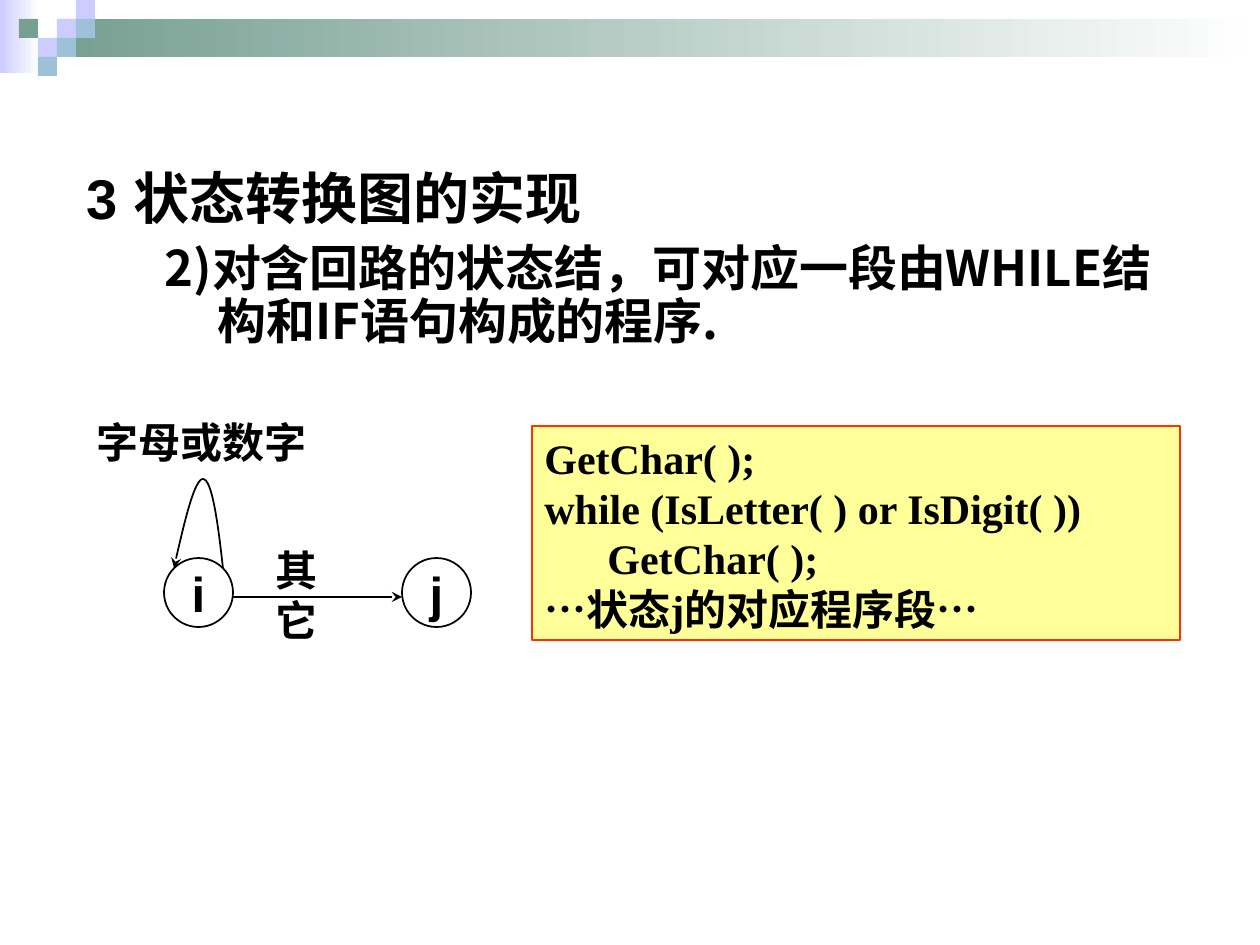
"""Build a slide on implementing state transition diagrams with loops."""
from dataclasses import dataclass

from pptx import Presentation
from pptx.dml.color import RGBColor
from pptx.enum.shapes import MSO_CONNECTOR, MSO_SHAPE
from pptx.enum.text import MSO_ANCHOR, PP_ALIGN
from pptx.oxml.ns import qn
from pptx.util import Emu, Pt
from lxml.etree import SubElement


@dataclass(frozen=True)
class Theme:
    black: RGBColor = RGBColor(0x00, 0x00, 0x00)
    white: RGBColor = RGBColor(0xFF, 0xFF, 0xFF)
    lilac: RGBColor = RGBColor(0xCC, 0xCC, 0xFF)
    green: RGBColor = RGBColor(0x77, 0x9F, 0x92)
    blue: RGBColor = RGBColor(0x9D, 0xC2, 0xD7)
    yellow: RGBColor = RGBColor(0xFF, 0xFF, 0x99)
    red: RGBColor = RGBColor(0xFF, 0x33, 0x00)
    heading: int = 32
    text: int = 28
    label: int = 24
    sans: str = "Arial"
    serif: str = "Times New Roman"
    chinese: str = "Noto Sans CJK SC"


theme = Theme()
SCALE = 914400 / 126


def px(*lengths):
    return [Emu(round(length * SCALE)) for length in lengths]


def style(span, size, font):
    span.font.size = Pt(size)
    span.font.bold = True
    span.font.color.rgb = theme.black
    span.font.name = font
    SubElement(span.font._element, qn("a:ea"), typeface=theme.chinese)


deck = Presentation()
deck.slide_width, deck.slide_height = px(1260, 945)
page = deck.slides.add_slide(deck.slide_layouts[1])
title = page.shapes.title
title._element.getparent().remove(title._element)

for bounds, color in (((0, 0, 39, 73), theme.lilac), ((57, 19, 1203, 38), theme.green)):
    band = page.shapes.add_shape(MSO_SHAPE.RECTANGLE, *px(*bounds))
    band.shadow.inherit = False
    band.line.fill.background()
    band.fill.gradient()
    band.fill.gradient_angle = 180
    for stop, stop_color in zip(band.fill.gradient_stops, (theme.white, color)):
        stop.color.rgb = stop_color

TILE = 19
tiles = (
    (3, 1, theme.lilac), (4, 0, theme.lilac), (4, 1, theme.blue), (2, 2, theme.lilac),
    (1, 1, theme.green), (3, 2, theme.blue), (2, 3, theme.blue),
)
for column, row, color in tiles:
    tile = page.shapes.add_shape(
        MSO_SHAPE.RECTANGLE, *px(column * TILE, row * TILE, TILE, TILE))
    tile.shadow.inherit = False
    tile.line.fill.background()
    tile.fill.solid()
    tile.fill.fore_color.rgb = color

body = page.placeholders[1]
body.left, body.top, body.width, body.height = px(74, 165, 1134, 208)
lines = (
    (0, 48, -48, 0, theme.heading, (("3 ", theme.sans), ("状态转换图的实现", theme.chinese))),
    (1, 131, -53, 7, theme.text,
     (("2)对含回路的状态结，可对应一段由WHILE结构和IF语句构成的程序.", theme.chinese),)),
)
body.text_frame.text = "\n" * (len(lines) - 1)
for para, (level, margin, indent, before, size, spans) in zip(body.text_frame.paragraphs, lines):
    para.level = level
    properties = para._p.get_or_add_pPr()
    properties.set("marL", str(px(margin)[0]))
    properties.set("indent", str(px(indent)[0]))
    SubElement(properties, qn("a:buNone"))
    para.line_spacing = 0.9
    para.space_before = Pt(before)
    for text, font in spans:
        span = para.add_run()
        span.text = text
        style(span, size, font)

for name, left in (("i", 164), ("j", 402)):
    state = page.shapes.add_shape(MSO_SHAPE.OVAL, *px(left, 558, 69, 69))
    state.shadow.inherit = False
    state.fill.background()
    state.line.color.rgb = theme.black
    state.line.width = Pt(1)
    state.text_frame.word_wrap = False
    state.text_frame.vertical_anchor = MSO_ANCHOR.MIDDLE
    para = state.text_frame.paragraphs[0]
    para.text = name
    para.alignment = PP_ALIGN.CENTER
    style(para.runs[0], theme.text, theme.sans)

builder = page.shapes.build_freeform(223, 568, scale=SCALE)
builder.add_line_segments(
    ((218, 523), (212, 479), (203, 479), (195, 479), (184, 523), (174, 568)), close=False)
loop = builder.convert_to_shape()
loop.shadow.inherit = False
loop.fill.background()
outline = loop._element.find(".//" + qn("a:path"))
segments = outline.findall(qn("a:lnTo"))
for start in range(0, len(segments), 3):
    curve = SubElement(outline, qn("a:cubicBezTo"))
    for segment in segments[start:start + 3]:
        curve.append(segment[0])
        outline.remove(segment)

transition = page.shapes.add_connector(MSO_CONNECTOR.STRAIGHT, *px(233, 597, 402, 597))
for arrow in (loop, transition):
    arrow.line.color.rgb = theme.black
    arrow.line.width = Pt(1)
    SubElement(arrow._element.spPr.find(qn("a:ln")), qn("a:tailEnd"), type="stealth")
SubElement(transition._element.spPr, qn("a:effectLst"))

for text, bounds, wrap in (
    ("字母或数字", (84, 410, 248, 63), True),
    ("其它", (263, 538, 108, 63), False),
):
    label = page.shapes.add_textbox(*px(*bounds))
    label.text_frame.word_wrap = wrap
    label.text_frame.text = text
    style(label.text_frame.paragraphs[0].runs[0], theme.label, theme.sans)

code = page.shapes.add_shape(MSO_SHAPE.RECTANGLE, *px(532, 426, 648, 214))
code.shadow.inherit = False
code.fill.solid()
code.fill.fore_color.rgb = theme.yellow
code.line.color.rgb = theme.red
code.line.width = Pt(1)
code.text_frame.word_wrap = True
code.text_frame.vertical_anchor = MSO_ANCHOR.MIDDLE
code.text_frame.text = (
    "GetChar( );\nwhile (IsLetter( ) or IsDigit( ))\n\tGetChar( );\n…状态j的对应程序段…")
for para in code.text_frame.paragraphs:
    para.alignment = PP_ALIGN.LEFT
    style(para.runs[0], theme.label, theme.serif)

deck.save("out.pptx")
